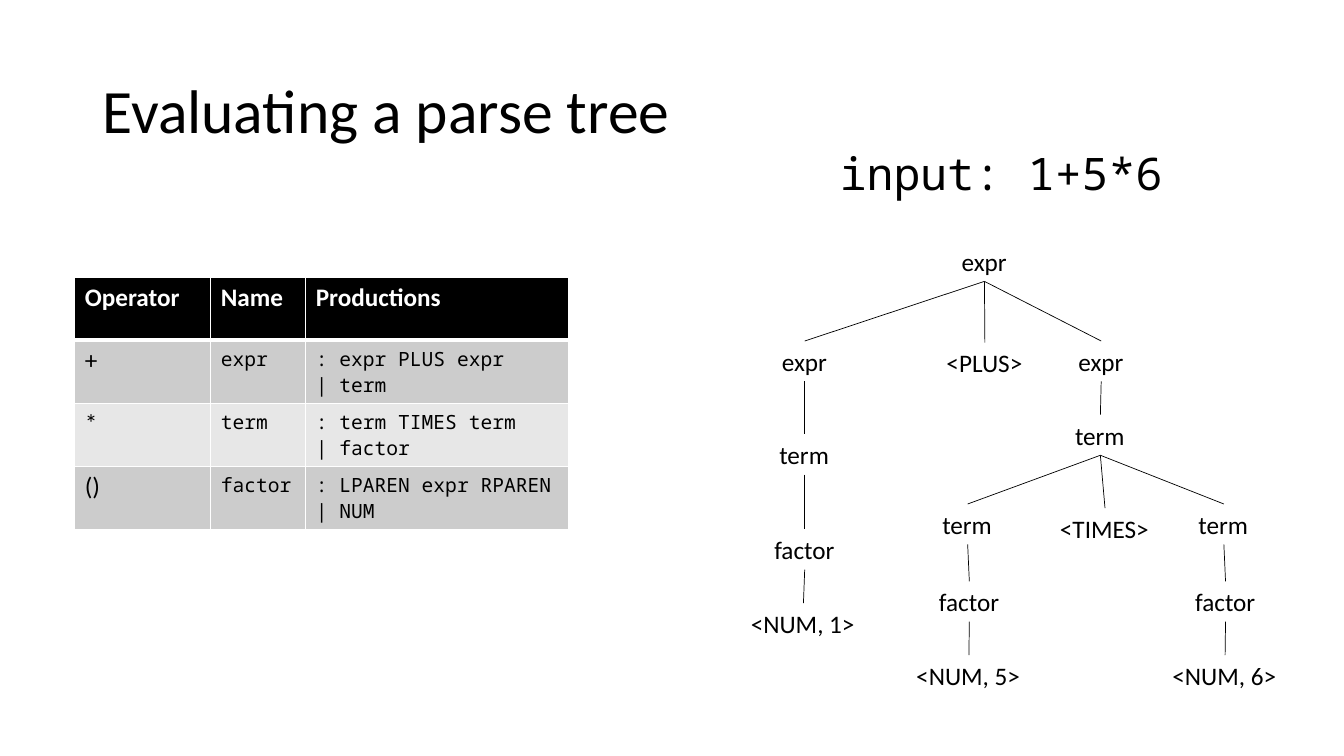
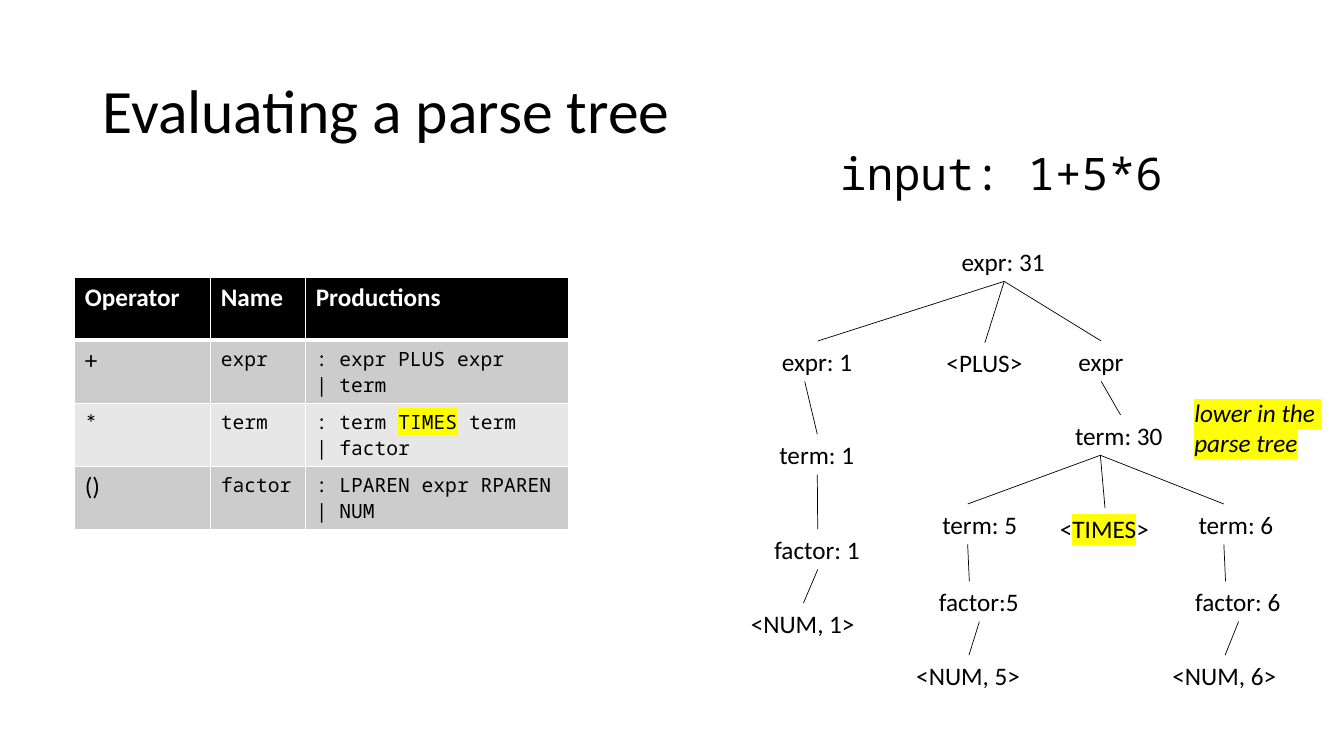
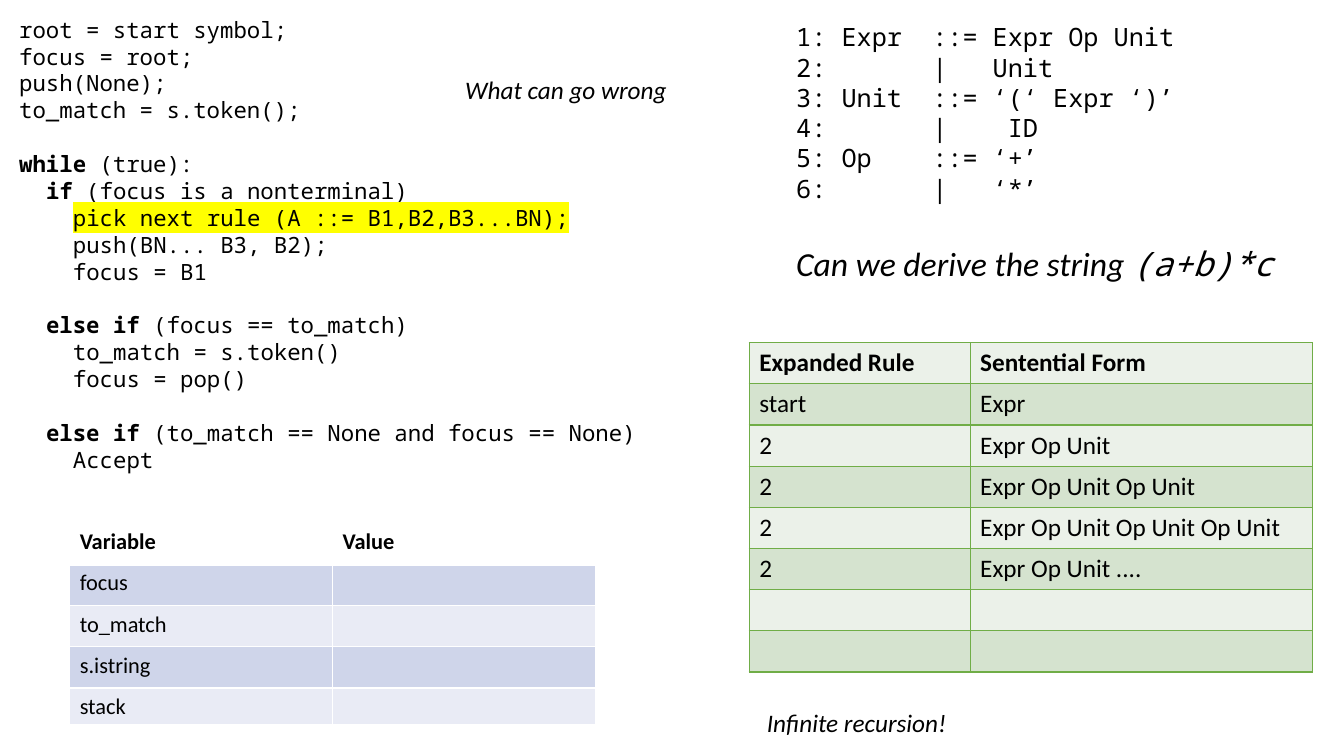
from dataclasses import dataclass
from typing import NamedTuple, Sequence, Union

from lxml.etree import SubElement
from pptx import Presentation
from pptx.dml.color import RGBColor
from pptx.enum.shapes import MSO_CONNECTOR as Connector
from pptx.enum.text import MSO_ANCHOR as Anchor, MSO_AUTO_SIZE as AutoSize, PP_ALIGN as Align
from pptx.oxml.ns import qn
from pptx.util import Emu, Inches, Pt

# Shared look: a 16 by 9 grid of square cells
WIDTH, HEIGHT = Inches(13.333), Inches(7.5)
COLUMNS, ROWS = 16, 9
SANS, MONO = "Calibri", "Noto Sans Mono"
BLACK, WHITE, YELLOW, GREEN = "000000", "FFFFFF", "FFFF00", "70AD47"
GRAY_BANDS = ("CCCCCC", "E7E7E7")
BLUE_BANDS = ("CFD5EA", "E9EBF5")
GREEN_BANDS = ("D5E3CF", "EBF1E9")
MONO_ADVANCE = 0.6  # width of a monospaced letter, as a share of its size
LINE_HEIGHT = 1.2
TOP, BOTTOM = 0, 2  # connection sites of a rectangle


def across(columns: float) -> Emu:
    return Emu(round(WIDTH * columns / COLUMNS))


def down(rows: float) -> Emu:
    return Emu(round(HEIGHT * rows / ROWS))


def color(code: str) -> RGBColor:
    return RGBColor.from_string(code)


# Text
class Span(NamedTuple):
    text: str
    bold: bool = False
    highlight: bool = False
    font: str = ""


@dataclass
class Line:
    spans: Sequence[Span]
    level: int = 0  # steps of two letters
    gap: int = 0  # lines left free above


Text = Union[str, Line]


def mark(text: str, word: str = "") -> Line:
    """Make a line in which the given word is highlighted."""
    if not word or word not in text:
        return Line([Span(text)])
    before, after = text.split(word)
    spans = [Span(before), Span(word, highlight=True), Span(after)]
    return Line([span for span in spans if span.text])


def write(frame, lines: Sequence[Text], size: float = 18, font: str = SANS, ink: str = BLACK,
          bold: bool = False, italic: bool = False, tabs: Sequence[int] = ()) -> None:
    for index, line in enumerate(lines):
        para = frame.paragraphs[0] if index == 0 else frame.add_paragraph()
        line = Line([Span(line)]) if isinstance(line, str) else line
        if line.gap:
            para.space_before = Pt(line.gap * size * LINE_HEIGHT)
        letter = Pt(size * MONO_ADVANCE)
        if line.level:
            para._p.get_or_add_pPr().set("marL", str(line.level * 2 * letter))
        if tabs:
            stops = SubElement(para._p.get_or_add_pPr(), qn("a:tabLst"))
            for stop in tabs:
                SubElement(stops, qn("a:tab"), pos=str(stop * letter), algn="l")
        for span in line.spans:
            if not span.text:
                SubElement(para._p, qn("a:endParaRPr"), sz=str(size * 100))
                continue
            run = para.add_run()
            run.text = span.text
            run.font.size = Pt(size)
            run.font.name = span.font or font
            run.font.bold = bold or span.bold
            run.font.italic = italic
            run.font.color.rgb = color(ink)
            if span.highlight:
                properties = run.font._element
                highlight = SubElement(properties, qn("a:highlight"))
                SubElement(highlight, qn("a:srgbClr"), val=YELLOW)
                properties.find(qn("a:solidFill")).addnext(highlight)


def add_text(page, lines: Sequence[Text], left: float, top: float, width: float, height: float,
             wrap: bool = True, **text_format):
    box = page.shapes.add_textbox(across(left), down(top), across(width), down(height))
    box.text_frame.word_wrap = wrap
    box.text_frame.auto_size = AutoSize.SHAPE_TO_FIT_TEXT
    write(box.text_frame, lines, **text_format)
    return box


def add_title(page, text: str) -> None:
    title = page.shapes.title
    title.left, title.top = across(1.1), down(0.48)
    title.width, title.height = across(13.8), down(1.74)
    title.text_frame.vertical_anchor = Anchor.MIDDLE
    write(title.text_frame, [text], size=44)
    title.text_frame.paragraphs[0].alignment = Align.LEFT
    title.text_frame.paragraphs[0].line_spacing = 0.9


# Tables
class Style(NamedTuple):
    size: int = 18
    font: str = SANS


@dataclass
class Grid:
    left: float
    top: float
    columns: Sequence[float]
    rows: Sequence[float]
    cells: Sequence[Sequence[Sequence[Text]]]
    styles: Sequence[Style]
    bands: Sequence[str]
    header_fill: str
    header_ink: str = BLACK
    border: str = WHITE
    rule: float = 3  # line under the header


def set_border(cell, code: str, **widths: float) -> None:
    properties = cell._tc.get_or_add_tcPr()
    for side, width in widths.items():
        line = SubElement(properties, qn(f"a:ln{side}"), w=str(Pt(width)))
        SubElement(SubElement(line, qn("a:solidFill")), qn("a:srgbClr"), val=code)


def add_grid(page, grid: Grid) -> None:
    table = page.shapes.add_table(
        len(grid.rows), len(grid.columns), across(grid.left), down(grid.top),
        across(sum(grid.columns)), down(sum(grid.rows))).table
    for column, width in zip(table.columns, grid.columns):
        column.width = across(width)
    for row, height in zip(table.rows, grid.rows):
        row.height = down(height)
    for y, texts in enumerate(grid.cells):
        header = y == 0
        for x, lines in enumerate(texts):
            cell = table.cell(y, x)
            set_border(cell, grid.border, L=1, R=1, T=grid.rule if y == 1 else 1,
                       B=grid.rule if header else 1)
            cell.fill.solid()
            cell.fill.fore_color.rgb = color(grid.header_fill if header else grid.bands[(y - 1) % 2])
            style = grid.styles[0] if header else grid.styles[x]
            write(cell.text_frame, lines, size=style.size, font=style.font, bold=header,
                  ink=grid.header_ink if header else BLACK)


# Parse tree
@dataclass
class Node:
    key: str
    parent: str
    label: str
    left: float
    top: float
    width: float
    valued_label: str = ""
    valued_width: float = 0
    fixed: Sequence[int] = ()  # sides whose edges stay put when the value is shown


def operand(digit: int, left: float, factor: str, factor_width: float) -> list[Node]:
    """Give the branch from a term down to its number."""
    term_key, factor_key = f"term {digit}", f"factor {digit}"
    return [
        Node(term_key, "product", "term", left, 6, 0.84, f"term: {digit}", 1.14, (TOP, BOTTOM)),
        Node(factor_key, term_key, "factor", left - 0.04, 6.92, 0.96, factor, factor_width, (TOP,)),
        Node(f"number {digit}", factor_key, f"<NUM, {digit}>", left - 0.31, 7.8, 1.49),
    ]


TREE = [
    Node("sum", "", "expr", 11.33, 2.87, 0.78, "expr: 31", 1.25),
    Node("left", "sum", "expr", 9.19, 4.06, 0.78, "expr: 1", 1.09, (BOTTOM,)),
    Node("plus", "sum", "<PLUS>", 11.15, 4.08, 1.15),
    Node("right", "sum", "expr", 12.72, 4.06, 0.78),
    Node("term 1", "left", "term", 9.16, 5.17, 0.84, "term: 1", 1.14),
    Node("factor 1", "term 1", "factor", 9.1, 6.3, 0.96, "factor: 1", 1.27),
    Node("number 1", "factor 1", "<NUM, 1>", 8.82, 7.18, 1.49),
    Node("product", "right", "term", 12.68, 4.94, 0.84, "term: 30", 1.32, (BOTTOM,)),
    Node("times", "product", "<TIMES>", 12.5, 6.05, 1.31),
    *operand(5, 11.1, "factor:5", 1.2),
    *operand(6, 14.15, "factor: 6", 1.27),
]
NODE_HEIGHT = 0.48


def add_tree(page, valued: bool, word: str) -> None:
    nodes = {node.key: node for node in TREE}
    boxes = {}
    for node in TREE:
        grown = valued and node.valued_label
        boxes[node.key] = add_text(
            page, [mark(node.valued_label if grown else node.label, word)], node.left, node.top,
            node.valued_width if grown else node.width, NODE_HEIGHT, wrap=False)
    for node in TREE:
        if node.parent:
            parent = nodes[node.parent]
            edge = page.shapes.add_connector(
                Connector.STRAIGHT,
                across(parent.left + parent.width / 2), down(parent.top + NODE_HEIGHT),
                across(node.left + node.width / 2), down(node.top))
            if not (valued and BOTTOM in parent.fixed):
                edge.begin_connect(boxes[parent.key], BOTTOM)
            if not (valued and TOP in node.fixed):
                edge.end_connect(boxes[node.key], TOP)
            edge.line.color.rgb = color(BLACK)
            edge.line.width = Pt(0.5)
            SubElement(edge._element.spPr, qn("a:effectLst"))


def add_tree_page(deck, valued: bool = False, word: str = "") -> None:
    page = deck.slides.add_slide(deck.slide_layouts[5])
    add_title(page, "Evaluating a parse tree")
    add_text(page, ["input: 1+5*6"], 9.88, 1.67, 4.13, 0.77, wrap=False, size=32, font=MONO)
    add_tree(page, valued, word)
    add_grid(page, Grid(
        0.89, 3.3, (1.62, 1.13, 3.13), (0.75,) * 4,
        [
            (["Operator"], ["Name"], ["Productions"]),
            (["+"], ["expr"], [": expr PLUS expr", "| term"]),
            (["*"], ["term"], [mark(": term TIMES term", word), "| factor"]),
            (["()"], ["factor"], [": LPAREN expr RPAREN", "| NUM"]),
        ],
        (Style(), Style(14, MONO), Style(14, MONO)), GRAY_BANDS, BLACK, WHITE))
    if valued:
        add_text(page, ["lower in the ", "parse tree"] if not word else
                 [mark(line, line) for line in ("lower in the ", "parse tree")],
                 14.1, 4.67, 1.79, 0.85, wrap=False, italic=True)


# Top-down parsing page
def code(text: str, level: int = 0, gap: int = 0, keyword: str = "") -> Line:
    spans = [Span(keyword, bold=True)] if keyword else []
    return Line([*spans, Span(text)], level, gap)


ALGORITHM = [
    code("root = start symbol;"),
    code("focus = root;"),
    code("push(None);"),
    code("to_match = s.token();"),
    code(" (true):", gap=1, keyword="while"),
    code(" (focus is a nonterminal)", 1, keyword="if"),
    Line([Span("pick next rule (A ::= B1,B2,B3...BN);", highlight=True)], 2),
    code("push(BN... B3, B2);", 2),
    code("focus = B1", 2),
    code("(focus == to_match)", 1, 1, "else if "),
    code("to_match = s.token()", 2),
    code("focus = pop()", 2),
    code("(to_match == None and focus == None)", 1, 1, "else if "),
    code("Accept", 2),
]
GRAMMAR = [
    "1:\tExpr\t::=\tExpr Op Unit",
    "2:\t\t|\tUnit",
    "3:\tUnit\t::=\t‘(‘ Expr ‘)’",
    "4:\t\t|\t\tID",
    "5:\tOp\t::=\t‘+’",
    "6:\t\t|\t‘*’",
]
DERIVATION = [
    ("Expanded Rule", "Sentential Form"),
    ("start", "Expr"),
    ("2", "Expr Op Unit"),
    ("2", "Expr Op Unit Op Unit"),
    ("2", "Expr Op Unit Op Unit Op Unit"),
    ("2", "Expr Op Unit ...."),
    ("", ""),
    ("", ""),
]
VARIABLES = [("Variable", "Value"), *((name, "") for name in ("focus", "to_match", "s.istring", "stack"))]


def as_cells(rows: Sequence[Sequence[str]]) -> list[list[list[str]]]:
    return [[[text] for text in row] for row in rows]


def add_parsing_page(deck) -> None:
    page = deck.slides.add_slide(deck.slide_layouts[6])
    add_text(page, ALGORITHM, 0.11, 0.13, 7.86, 6.59, size=16, font=MONO)
    add_text(page, [Line([Span("Can we derive the string "), Span("(a+b)*c", font=MONO)])],
             9.36, 2.83, 6, 0.6, size=24, italic=True)
    add_text(page, ["What can go wrong"], 5.42, 0.83, 3.37, 0.48, italic=True)
    add_text(page, ["Infinite recursion!"], 9.01, 8.36, 2.44, 0.48, italic=True)
    add_text(page, GRAMMAR, 9.36, 0.2, 5.14, 2.3, font=MONO, tabs=(3, 9, 13, 14))
    add_grid(page, Grid(
        8.92, 4.08, (2.63, 4.08), (0.49,) * 8, as_cells(DERIVATION), (Style(),) * 2,
        GREEN_BANDS, GREEN_BANDS[1], border=GREEN, rule=1))
    add_grid(page, Grid(
        0.83, 6.23, (3.13, 3.13), (0.49,) * 4 + (0.33,), as_cells(VARIABLES), (Style(16),) * 2,
        BLUE_BANDS, WHITE))


def main() -> None:
    deck = Presentation()
    deck.slide_width, deck.slide_height = WIDTH, HEIGHT
    add_tree_page(deck)
    add_tree_page(deck, valued=True, word="TIMES")
    add_parsing_page(deck)
    deck.save("out.pptx")


if __name__ == "__main__":
    main()
